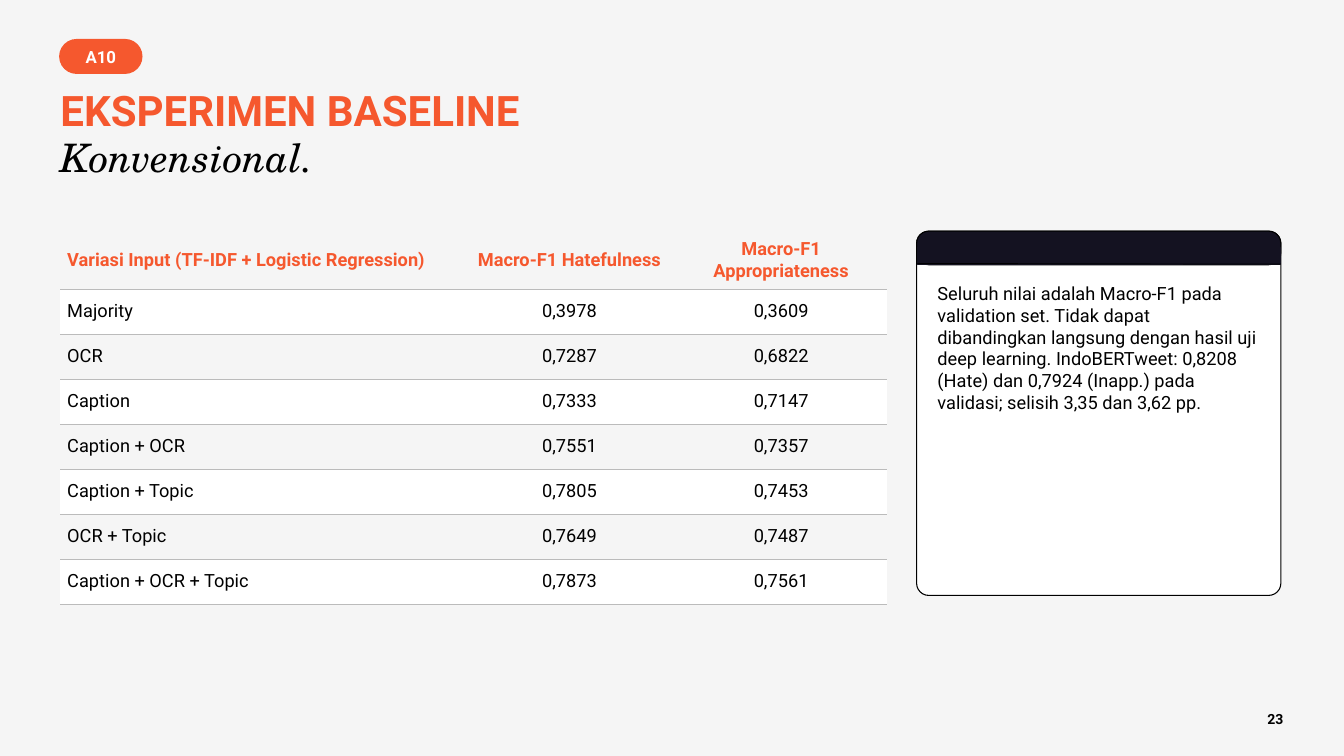
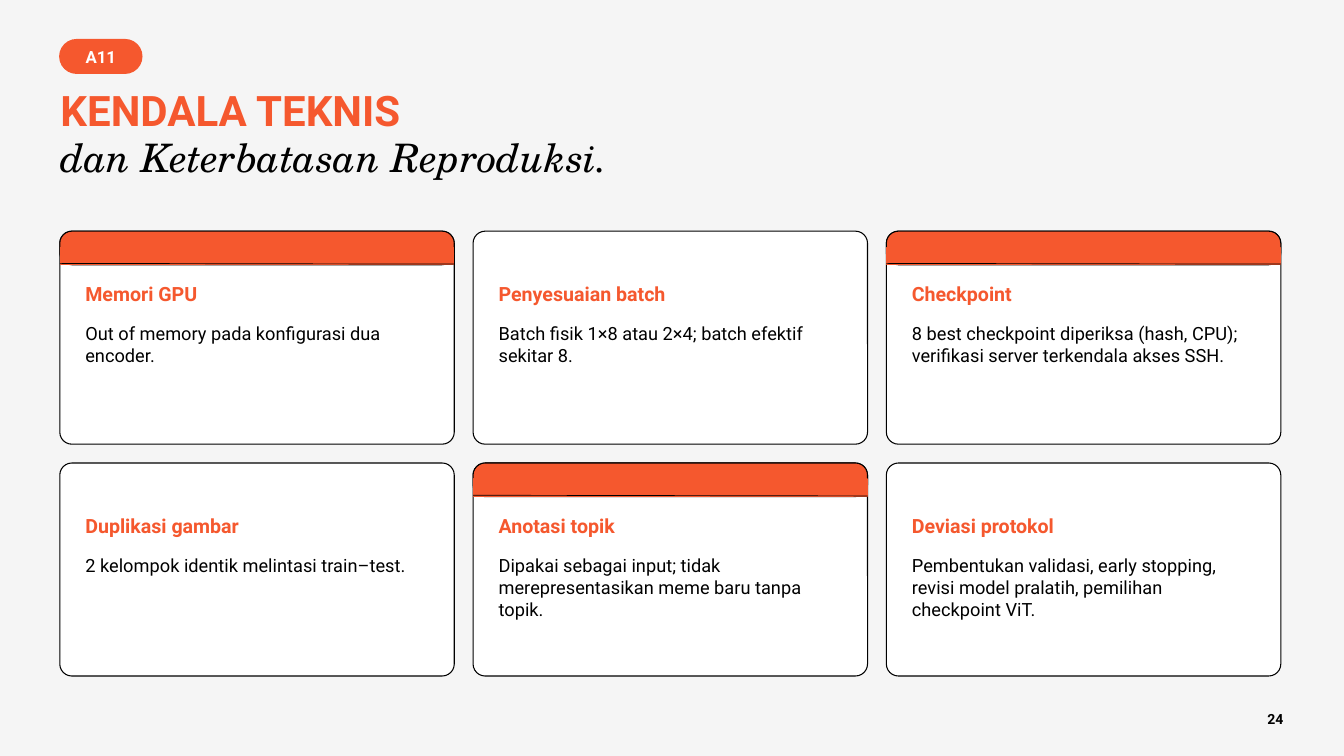
"""Build two appendix slides: baseline experiment scores and technical constraints."""
import pptx
import pptx.dml.color
import pptx.enum.shapes
import pptx.enum.text
import pptx.oxml
import pptx.oxml.ns
import pptx.util
from dataclasses import dataclass
from lxml import etree

Inches = pptx.util.Inches
Pt = pptx.util.Pt
Shape = pptx.enum.shapes.MSO_SHAPE
Align = pptx.enum.text.PP_ALIGN
Anchor = pptx.enum.text.MSO_ANCHOR


@dataclass(frozen=True)
class Style:
    """Type style of one paragraph."""
    size: float
    color: str
    spacing: float
    bold: bool = False
    italic: bool = False
    font: str = "Roboto"


class Theme:
    """Colours and type styles shared by the slides."""
    paper, white, black = "F5F5F5", "FFFFFF", "000000"
    orange, ink, rule = "F5582E", "141221", "BBBBBB"
    title = Style(45, orange, 51.3, bold=True)
    subtitle = Style(42, black, 47.9, italic=True, font="TeX Gyre Schola")
    tag = Style(18, white, 21.6, bold=True)
    number = Style(15, black, 18, bold=True)
    card_heading = Style(21, orange, 25.2, bold=True)
    table_heading = Style(19.5, orange, 23.4, bold=True)
    body = Style(19.5, black, 23.4)


BASELINE = {"tag": "A10", "title": "EKSPERIMEN BASELINE", "subtitle": "Konvensional.", "number": "23"}
SCORES = [
    ("Variasi Input (TF-IDF + Logistic Regression)", "Macro-F1 Hatefulness", "Macro-F1 Appropriateness"),
    ("Majority", "0,3978", "0,3609"),
    ("OCR", "0,7287", "0,6822"),
    ("Caption", "0,7333", "0,7147"),
    ("Caption + OCR", "0,7551", "0,7357"),
    ("Caption + Topic", "0,7805", "0,7453"),
    ("OCR + Topic", "0,7649", "0,7487"),
    ("Caption + OCR + Topic", "0,7873", "0,7561"),
]
SCORE_NOTE = (
    "Seluruh nilai adalah Macro-F1 pada validation set. Tidak dapat dibandingkan langsung "
    "dengan hasil uji deep learning. IndoBERTweet: 0,8208 (Hate) dan 0,7924 (Inapp.) pada "
    "validasi; selisih 3,35 dan 3,62 pp."
)
CONSTRAINTS = {"tag": "A11", "title": "KENDALA TEKNIS", "subtitle": "dan Keterbatasan Reproduksi.", "number": "24"}
CARDS = [
    ("Memori GPU", "Out of memory pada konfigurasi dua encoder.", True),
    ("Penyesuaian batch", "Batch fisik 1×8 atau 2×4; batch efektif sekitar 8.", False),
    ("Checkpoint", "8 best checkpoint diperiksa (hash, CPU); verifikasi server terkendala akses SSH.", True),
    ("Duplikasi gambar", "2 kelompok identik melintasi train–test.", False),
    ("Anotasi topik", "Dipakai sebagai input; tidak merepresentasikan meme baru tanpa topik.", True),
    ("Deviasi protokol", "Pembentukan validasi, early stopping, revisi model pralatih, pemilihan checkpoint ViT.", False),
]

LEFT, TOP, GAP = 0.89, 3.44, 0.28
CARD_WIDTH, CARD_HEIGHT, CARD_COLUMNS = 5.87, 3.17, 3
NOTE_LEFT, NOTE_SIDE = 13.64, 5.42
BAND_HEIGHT, BAND_FOOT, CORNER = 0.5, 0.26, 0.18
COLUMN_WIDTHS, ROW_HEIGHT = (6, 3.15, 3.15), 0.67
NO_TABLE_STYLE = "{2D5ABB26-0587-4C30-8999-92F81FD0307C}"


def rgb(color):
    """Turn a hex string into a colour."""
    return pptx.dml.color.RGBColor.from_string(color)


def style_paragraph(para, text, style, align=Align.LEFT):
    """Write one paragraph in the given style."""
    para.text = text
    para.alignment = align
    para.line_spacing = Pt(style.spacing)
    para.space_before = Pt(0)
    font = para.font
    font.name, font.size = style.font, Pt(style.size)
    font.bold, font.italic = style.bold, style.italic
    font.color.rgb = rgb(style.color)


def prepare_frame(frame, anchor=Anchor.TOP):
    """Wrap a text frame and remove its margins."""
    frame.word_wrap = True
    frame.auto_size = pptx.enum.text.MSO_AUTO_SIZE.NONE
    frame.vertical_anchor = anchor
    frame.margin_left = frame.margin_right = frame.margin_top = frame.margin_bottom = 0


def add_text(page, area, text, style, align=Align.LEFT):
    """Add a one-paragraph text box."""
    frame = page.shapes.add_textbox(*map(Inches, area)).text_frame
    prepare_frame(frame)
    style_paragraph(frame.paragraphs[0], text, style, align)


def add_block(page, kind, area, fill, line, weight, radius=None):
    """Add a filled and outlined shape."""
    block = page.shapes.add_shape(kind, *map(Inches, area))
    block.shadow.inherit = False
    block.fill.solid()
    block.fill.fore_color.rgb = rgb(fill)
    block.line.color.rgb = rgb(line)
    block.line.width = Pt(weight)
    if radius is not None:
        block.adjustments[0] = radius / min(area[2:])
    return block


def add_panel(page, left, top, width, height, band=None):
    """Add a rounded card, with a coloured band on top if one is given."""
    rounded = Shape.ROUNDED_RECTANGLE
    add_block(page, rounded, (left, top, width, height), Theme.white, Theme.black, 1.13, CORNER)
    if band is None:
        return
    add_block(page, rounded, (left, top, width, BAND_HEIGHT), band, Theme.black, 1.13, CORNER)
    bottom = top + BAND_HEIGHT
    foot = (left + 0.01, bottom - BAND_FOOT, width - 0.02, BAND_FOOT)
    add_block(page, Shape.RECTANGLE, foot, band, band, 1.5)
    ends = map(Inches, (left, bottom - 0.02, left + width, bottom - 0.01))
    rule = page.shapes.add_connector(pptx.enum.shapes.MSO_CONNECTOR.STRAIGHT, *ends)
    rule.line.color.rgb = rgb(Theme.black)
    rule.line.width = Pt(0.75)
    etree.SubElement(rule._element.spPr, pptx.oxml.ns.qn("a:effectLst"))


def add_page(deck, heading):
    """Add a slide with its tag, two-line title and number."""
    page = deck.slides.add_slide(deck.slide_layouts.get_by_name("Title Only"))
    title = page.shapes.title
    title.left, title.top, title.width, title.height = map(Inches, (0.9, 1.3, 18.15, 1.55))
    prepare_frame(title.text_frame)
    style_paragraph(title.text_frame.paragraphs[0], heading["title"], Theme.title)
    style_paragraph(title.text_frame.add_paragraph(), heading["subtitle"], Theme.subtitle)
    pill = add_block(page, Shape.ROUNDED_RECTANGLE, (LEFT, 0.59, 1.22, 0.5), Theme.orange, Theme.orange, 1.5, 0.25)
    prepare_frame(pill.text_frame, Anchor.MIDDLE)
    style_paragraph(pill.text_frame.paragraphs[0], heading["tag"], Theme.tag, Align.CENTER)
    add_text(page, (17.85, 10.58, 1.25, 0.34), heading["number"], Theme.number, Align.RIGHT)
    return page


def underline_cell(cell):
    """Draw a thin rule below a table cell."""
    border = pptx.oxml.parse_xml(
        f'<a:lnB {pptx.oxml.ns.nsdecls("a")} w="{Pt(0.5)}"><a:solidFill>'
        f'<a:srgbClr val="{Theme.rule}"/></a:solidFill></a:lnB>'
    )
    cell._tc.get_or_add_tcPr().insert(0, border)


def add_score_table(page):
    """Add the score table with alternating row fills."""
    area = (0.9, 3.45, sum(COLUMN_WIDTHS), ROW_HEIGHT * len(SCORES))
    table = page.shapes.add_table(len(SCORES), len(COLUMN_WIDTHS), *map(Inches, area)).table
    table._tbl.tblPr.find(pptx.oxml.ns.qn("a:tableStyleId")).text = NO_TABLE_STYLE
    table.first_row = table.horz_banding = False
    for column, width in zip(table.columns, COLUMN_WIDTHS):
        column.width = Inches(width)
    for row_index, row in enumerate(SCORES):
        table.rows[row_index].height = Inches(ROW_HEIGHT)
        for column_index, text in enumerate(row):
            cell = table.cell(row_index, column_index)
            cell.margin_left = cell.margin_right = cell.margin_top = cell.margin_bottom = Inches(0.1)
            cell.vertical_anchor = Anchor.MIDDLE
            cell.fill.solid()
            cell.fill.fore_color.rgb = rgb(Theme.white if row_index % 2 else Theme.paper)
            underline_cell(cell)
            style = Theme.body if row_index else Theme.table_heading
            align = Align.CENTER if column_index else Align.LEFT
            style_paragraph(cell.text_frame.paragraphs[0], text, style, align)


def build_baseline(deck):
    """Build the slide of baseline scores."""
    page = add_page(deck, BASELINE)
    add_score_table(page)
    add_panel(page, NOTE_LEFT, TOP, NOTE_SIDE, NOTE_SIDE, Theme.ink)
    add_text(page, (NOTE_LEFT + 0.31, TOP + 0.76, 4.8, 4.5), SCORE_NOTE, Theme.body)


def build_constraints(deck):
    """Build the slide of constraint cards."""
    page = add_page(deck, CONSTRAINTS)
    for index, (heading, text, banded) in enumerate(CARDS):
        row, column = divmod(index, CARD_COLUMNS)
        left = LEFT + column * (CARD_WIDTH + GAP)
        top = TOP + row * (CARD_HEIGHT + GAP)
        add_panel(page, left, top, CARD_WIDTH, CARD_HEIGHT, Theme.orange if banded else None)
        add_text(page, (left + 0.38, top + 0.76, 5.1, 0.45), heading, Theme.card_heading)
        add_text(page, (left + 0.38, top + 1.36, 5.1, 1.65), text, Theme.body)


def main():
    """Build and save the deck."""
    deck = pptx.Presentation()
    deck.slide_width, deck.slide_height = Inches(20), Inches(11.25)
    background = deck.slide_master.background.fill
    background.solid()
    background.fore_color.rgb = rgb(Theme.paper)
    build_baseline(deck)
    build_constraints(deck)
    deck.save("out.pptx")


if __name__ == "__main__":
    main()
